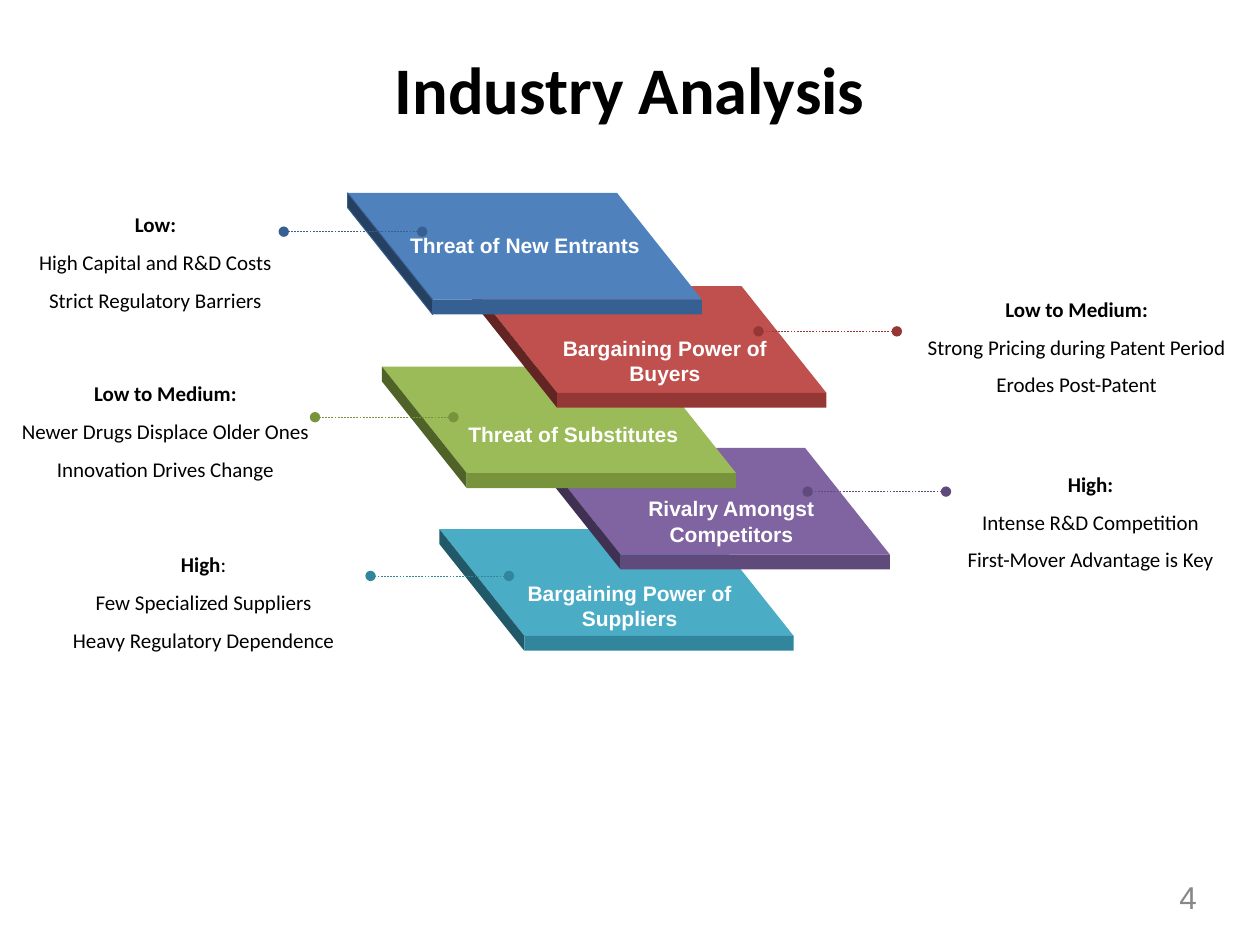
from dataclasses import dataclass

from lxml import etree
from pptx import Presentation
from pptx.dml.color import RGBColor
from pptx.enum.dml import MSO_LINE
from pptx.enum.shapes import MSO_CONNECTOR, MSO_SHAPE
from pptx.enum.text import MSO_ANCHOR, MSO_AUTO_SIZE, PP_ALIGN
from pptx.oxml.ns import qn
from pptx.util import Cm, Pt

CENTER, RIGHT = PP_ALIGN.CENTER, PP_ALIGN.RIGHT
TOP, MIDDLE = MSO_ANCHOR.TOP, MSO_ANCHOR.MIDDLE
GROW, FIXED = MSO_AUTO_SIZE.SHAPE_TO_FIT_TEXT, MSO_AUTO_SIZE.NONE
DASH = MSO_LINE.DASH
STRAIGHT = MSO_CONNECTOR.STRAIGHT
RECTANGLE = MSO_SHAPE.RECTANGLE

SLIDE_WIDTH, SLIDE_HEIGHT = 25.4, 19.05
# Every tier is the same slanted slab (cm)
FRONT_WIDTH, SLANT, DEPTH, THICKNESS = 5.43, 1.71, 2.15, 0.3
LABEL_HEIGHT = 0.69
LEADER_LENGTH = 2.79
NOTE_WIDTH, NOTE_HEIGHT = 6.83, 2.49


@dataclass(frozen=True)
class Theme:
    heading_font: str = "Calibri"
    label_font: str = "Arial"
    text: str = "000000"
    label: str = "FFFFFF"
    page_number: str = "888888"
    title_size: float = 38
    body_size: float = 12
    page_number_size: float = 18
    leader_width: float = 0.25
    edge_width: float = 0.5
    # Tier colours: top, side, front
    blue: tuple = ("4F81BD", "254061", "376092")
    red: tuple = ("C0504D", "632523", "953735")
    green: tuple = ("9BBB59", "4F6228", "77933C")
    purple: tuple = ("8064A2", "403152", "604A7B")
    teal: tuple = ("4BACC6", "215968", "31859C")


THEME = Theme()


@dataclass(frozen=True)
class Force:
    name: str
    colors: tuple
    tier: tuple         # left, top
    label: tuple        # left, top, width
    leader: tuple       # left end, height on the slide
    note: tuple         # left, top
    rating: str
    reasons: tuple
    bold_colon: bool = True
    side_edge: bool = False


# From the back tier to the front one
FORCES = [
    Force("Bargaining Power of Suppliers", THEME.teal, (8.86, 10.67),
          (9.75, 11.86, 5.89), (7.47, 11.61), (0.69, 10.74), "High",
          ("Few Specialized Suppliers", "Heavy Regulatory Dependence"),
          bold_colon=False),
    Force("Rivalry Amongst Competitors", THEME.purple, (10.8, 9.03),
          (12.14, 10.16, 5.21), (16.28, 9.91), (18.57, 9.12), "High",
          ("Intense R&D Competition", "First-Mover Advantage is Key")),
    Force("Threat of Substitutes", THEME.green, (7.7, 7.39),
          (8.59, 8.41, 5.94), (6.35, 8.41), (-0.08, 7.29), "Low to Medium",
          ("Newer Drugs Displace Older Ones", "Innovation Drives Change")),
    Force("Bargaining Power of Buyers", THEME.red, (9.52, 5.77),
          (10.8, 6.93, 5.21), (15.29, 6.68), (18.29, 5.59), "Low to Medium",
          ("Strong Pricing during Patent Period", "Erodes Post-Patent")),
    Force("Threat of New Entrants", THEME.blue, (7.01, 3.89),
          (7.98, 4.6, 5.21), (5.72, 4.67), (-0.28, 3.89), "Low",
          ("High Capital and R&D Costs", "Strict Regulatory Barriers"),
          side_edge=True),
]


def add_text(slide, paragraphs, left, top, width, height, *, size, color,
             font=THEME.heading_font, align=CENTER, anchor=TOP,
             insets=(0.25, 0.13), spacing=None, autosize=GROW):
    """Add a text box; each paragraph is a list of (text, bold) runs."""
    box = slide.shapes.add_textbox(Cm(left), Cm(top), Cm(width), Cm(height))
    frame = box.text_frame
    frame.word_wrap = True
    frame.auto_size = autosize
    frame.vertical_anchor = anchor
    frame.margin_left = frame.margin_right = Cm(insets[0])
    frame.margin_top = frame.margin_bottom = Cm(insets[1])
    for index, runs in enumerate(paragraphs):
        paragraph = frame.add_paragraph() if index else frame.paragraphs[0]
        paragraph.alignment = align
        if spacing:
            paragraph.line_spacing = spacing
        for text, bold in runs:
            run = paragraph.add_run()
            run.text = text
            run.font.name = font
            run.font.size = Pt(size)
            run.font.bold = bold
            run.font.color.rgb = RGBColor.from_string(color)


def paint(face, fill, edge=None):
    face.shadow.inherit = False
    face.fill.solid()
    face.fill.fore_color.rgb = RGBColor.from_string(fill)
    if edge:
        face.line.color.rgb = RGBColor.from_string(edge)
        face.line.width = Pt(THEME.edge_width)
    else:
        face.line.fill.background()


def add_face(group, corners, fill, edge=None):
    points = [(Cm(x), Cm(y)) for x, y in corners]
    builder = group.shapes.build_freeform(*points[0])
    builder.add_line_segments(points[1:], close=True)
    paint(builder.convert_to_shape(), fill, edge)


def add_tier(slide, force):
    left, top = force.tier
    front_left, front_top = left + SLANT, top + DEPTH
    top_color, side_color, front_color = force.colors
    group = slide.shapes.add_group_shape()
    add_face(group, [(front_left, front_top),
                     (front_left + FRONT_WIDTH, front_top),
                     (left + FRONT_WIDTH, top), (left, top)], top_color)
    add_face(group, [(left, top), (left, top + THICKNESS),
                     (front_left, front_top + THICKNESS),
                     (front_left, front_top)],
             side_color, front_color if force.side_edge else None)
    front = group.shapes.add_shape(RECTANGLE, Cm(front_left), Cm(front_top),
                                   Cm(FRONT_WIDTH), Cm(THICKNESS))
    paint(front, front_color)


def add_label(slide, force):
    left, top, width = force.label
    add_text(slide, [[(force.name, True)]], left, top, width, LABEL_HEIGHT,
             size=THEME.body_size, color=THEME.label, font=THEME.label_font,
             anchor=MIDDLE, insets=(0.2, 0), autosize=FIXED)


def add_leader(slide, force):
    left, y = force.leader
    leader = slide.shapes.add_connector(
        STRAIGHT, Cm(left + LEADER_LENGTH), Cm(y), Cm(left), Cm(y))
    leader.line.color.rgb = RGBColor.from_string(force.colors[2])
    leader.line.width = Pt(THEME.leader_width)
    leader.line.dash_style = DASH
    # Round dots at both ends, and no shadow
    outline = leader.line._get_or_add_ln()
    for end in ("a:headEnd", "a:tailEnd"):
        etree.SubElement(outline, qn(end), type="oval")
    etree.SubElement(leader._element.spPr, qn("a:effectLst"))


def add_note(slide, force):
    rating = [(force.rating, True), (":", force.bold_colon)]
    reasons = [[(reason, False)] for reason in force.reasons]
    add_text(slide, [rating, *reasons], *force.note, NOTE_WIDTH, NOTE_HEIGHT,
             size=THEME.body_size, color=THEME.text, spacing=1.5)


def main():
    deck = Presentation()
    deck.slide_width, deck.slide_height = Cm(SLIDE_WIDTH), Cm(SLIDE_HEIGHT)
    slide = deck.slides.add_slide(deck.slide_layouts[6])

    # Title and page number
    add_text(slide, [[("Industry Analysis", True)]], 0, 0.84, SLIDE_WIDTH, 1.88,
             size=THEME.title_size, color=THEME.text)
    add_text(slide, [[("4", False)]], 18.29, 17.7, 5.84, 0.76,
             size=THEME.page_number_size, color=THEME.page_number,
             font=THEME.label_font, align=RIGHT, insets=(0, 0))

    # Stacked tiers with their names
    for force in FORCES:
        add_tier(slide, force)
        add_label(slide, force)

    # Ratings, led out to the sides
    for force in FORCES:
        add_leader(slide, force)
        add_note(slide, force)

    deck.save("out.pptx")


if __name__ == "__main__":
    main()
